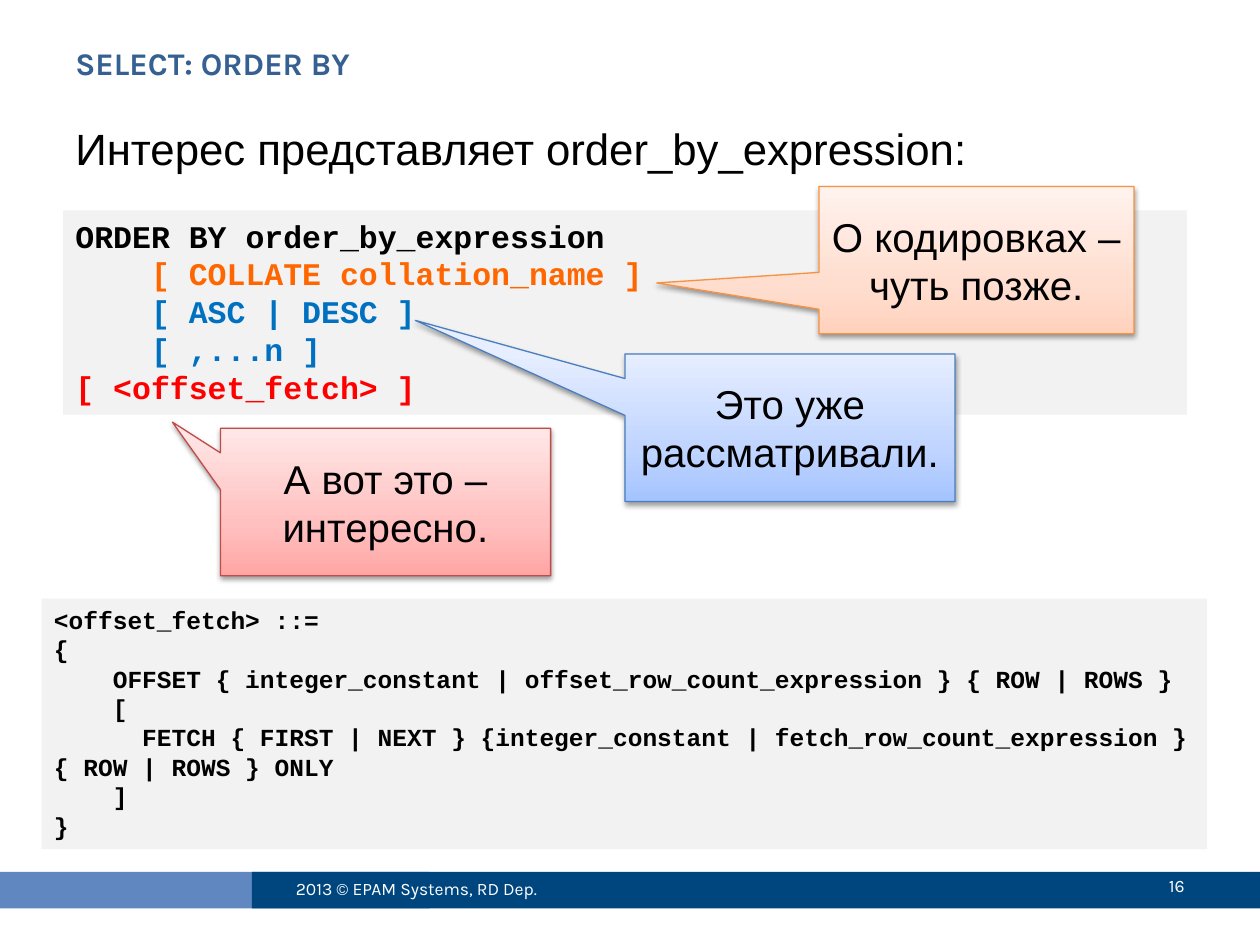
from copy import deepcopy
from lxml import etree
from pptx import Presentation, util as u
from pptx.dml.color import RGBColor
from pptx.enum import shapes, text
from pptx.oxml import ns

HUES = {
    "title": "376092", "black": "000000", "white": "FFFFFF", "code": "F2F2F2",
    "navy": "00467E", "sky": "6087BF",
    "orange": "FF6600", "blue": "0070C0", "red": "FF0000",
}
BANDS = [((-0.02, 6.92, 3.43, 0.29), "sky"), ((2, 6.92, 8, 0.29), "navy")]
LEFT, RIGHT = text.PP_ALIGN.LEFT, text.PP_ALIGN.RIGHT
TOP, MID = text.MSO_ANCHOR.TOP, text.MSO_ANCHOR.MIDDLE
LABELS = [
    ("SELECT: ORDER BY", (0.5, 0.3, 9, 0.78), "Karla", 18, "title", True, LEFT, TOP),
    ("2013 © EPAM Systems, RD Dep.", (2.25, 6.85, 2.67, 0.4),
     "Karla", 10, "white", False, LEFT, MID),
    ("16", (8.42, 6.83, 1.08, 0.4), "Karla", 10, "white", False, RIGHT, MID),
    ("Интерес представляет order_by_expression:", (0.5, 0.92, 9.08, 0.52),
     "Arial", 25, "black", False, LEFT, TOP),
]
ORDER = [
    ("ORDER BY order_by_expression", "black"),
    ("    [ COLLATE collation_name ]", "orange"),
    ("    [ ASC | DESC ]", "blue"),
    ("    [ ,...n ]", "blue"),
    ("[ <offset_fetch> ]", "red"),
]
FETCH = [
    "<offset_fetch> ::=",
    "{",
    "    OFFSET { integer_constant | offset_row_count_expression } { ROW | ROWS }",
    "    [",
    "      FETCH { FIRST | NEXT } {integer_constant | fetch_row_count_expression }"
    " { ROW | ROWS } ONLY",
    "    ]",
    "}",
]
NOTES = [
    ("О кодировках – чуть позже.", (6.5, 1.48, 2.5, 1.17), (-1.015, 0.155),
     ("FFD2BD", "FFDED0", "FFF2ED"), "F69240"),
    ("Это уже рассматривали.", (4.96, 2.81, 2.62, 1.17), (-1.135, -0.728),
     ("A4C4FF", "BFD4FF", "E6EEFF"), "4B7EBC"),
    ("А вот это – интересно.", (1.75, 3.4, 2.62, 1.17), (-0.646, -0.543),
     ("FFA6A5", "FFC0BF", "FFE7E7"), "BF4C48"),
]

deck = Presentation()
deck.slide_width, deck.slide_height = u.Inches(10), u.Inches(7.5)
slide = deck.slides.add_slide(deck.slide_layouts[6])


def rgb(name):
    return RGBColor.from_string(HUES.get(name, name))


def place(box):
    return [u.Inches(v) for v in box]


def write(shape, lines, face, size, bold=False, align=LEFT, anchor=TOP):
    frame = shape.text_frame
    frame.word_wrap = True
    frame.vertical_anchor = anchor
    for i, (words, hue) in enumerate(lines):
        para = frame.add_paragraph() if i else frame.paragraphs[0]
        para.alignment = align
        run = para.add_run()
        run.text = words
        font = run.font
        font.name, font.size, font.bold = face, u.Pt(size), bold
        font.color.rgb = rgb(hue)


def block(box, hue):
    shape = slide.shapes.add_shape(shapes.MSO_SHAPE.RECTANGLE, *place(box))
    shape.shadow.inherit = False
    shape.fill.solid()
    shape.fill.fore_color.rgb = rgb(hue)
    shape.line.fill.background()
    return shape


def shade(fill, hues):
    fill.gradient()
    fill.gradient_angle = 90
    first = fill.gradient_stops[0]
    root = fill._fill._gradFill.find(ns.qn("a:gsLst"))
    root.append(deepcopy(root[0]))
    for stop, hue, spot in zip(fill.gradient_stops, hues, (0, 0.35, 1)):
        stop.color.rgb = rgb(hue)
        stop.position = spot


def drop(shape):
    shape.shadow.inherit = False
    root = shape._element.spPr.find(ns.qn("a:effectLst"))
    cast = etree.SubElement(root, ns.qn("a:outerShdw"), blurRad=str(u.Pt(3.1)),
                            dist=str(u.Pt(1.6)), dir="5400000", rotWithShape="0")
    tone = etree.SubElement(cast, ns.qn("a:srgbClr"), val=HUES["black"])
    etree.SubElement(tone, ns.qn("a:alpha"), val="38000")


def note(words, box, tip, hues, edge):
    shape = slide.shapes.add_shape(shapes.MSO_SHAPE.RECTANGULAR_CALLOUT, *place(box))
    for i, v in enumerate(tip):
        shape.adjustments[i] = v
    shade(shape.fill, hues)
    shape.line.color.rgb = rgb(edge)
    shape.line.width = u.Pt(0.75)
    drop(shape)
    write(shape, [(words, "black")], "Arial", 23, align=text.PP_ALIGN.CENTER, anchor=MID)


for box, hue in BANDS:
    block(box, hue)
for words, box, face, size, hue, bold, align, anchor in LABELS:
    write(slide.shapes.add_textbox(*place(box)), [(words, hue)],
          face, size, bold, align, anchor)
write(block((0.5, 1.67, 8.92, 1.62), "code"), ORDER, "Courier New", 18, True)
for item in NOTES:
    note(*item)
write(block((0.33, 4.75, 9.25, 1.99), "code"), [(row, "black") for row in FETCH],
      "Courier New", 14, True)

deck.save("out.pptx")
